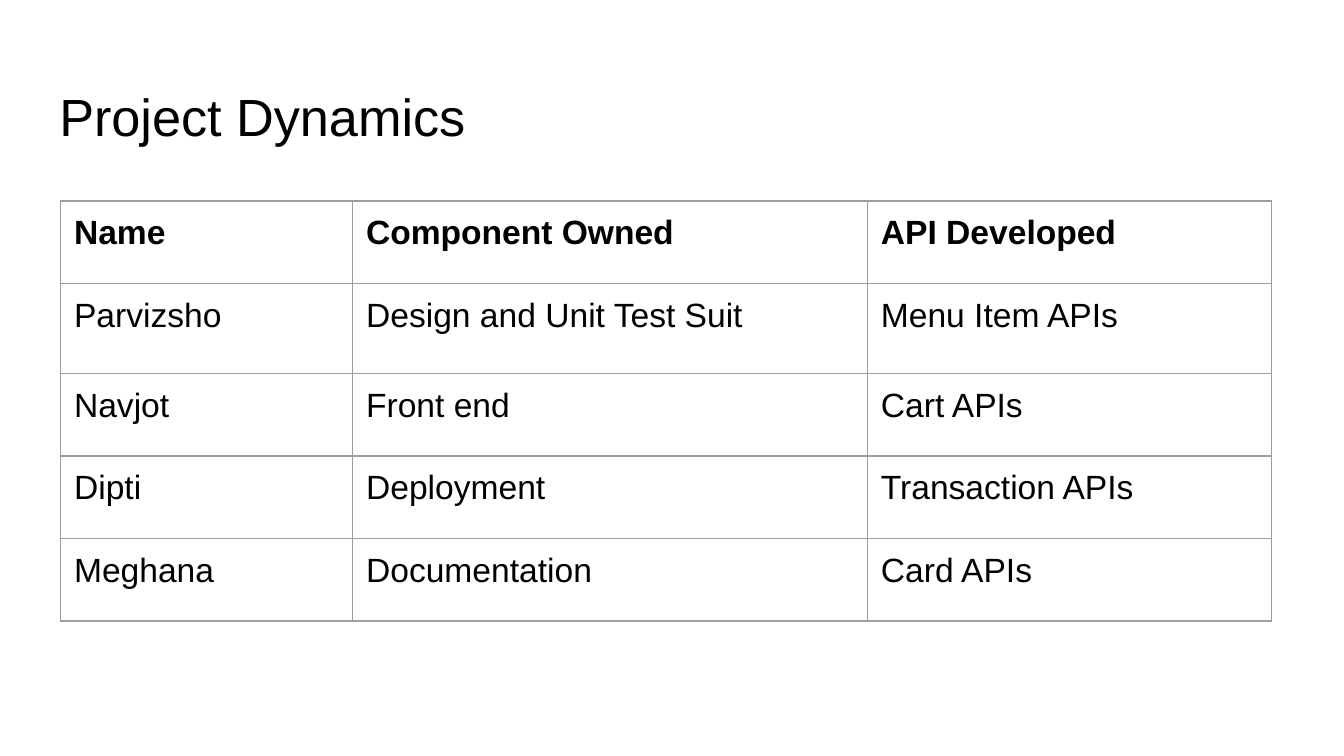
from dataclasses import dataclass

from lxml import etree
from pptx import Presentation
from pptx import util as u
from pptx.dml.color import RGBColor
from pptx.enum import text
from pptx.oxml.ns import qn


@dataclass(frozen=True)
class Theme:
    font: str = "Arial"
    ink: str = "000000"
    paper: str = "FFFFFF"
    rule: str = "9E9E9E"
    title_size: float = 28
    cell_size: float = 18
    rule_width: float = 0.75
    inset: float = 0.25


class Deck:
    def __init__(self, prs, theme):
        self.theme = theme
        self.s = prs.slides.add_slide(prs.slide_layouts[5])
        fill = self.s.background.fill
        fill.solid()
        fill.fore_color.rgb = RGBColor.from_string(theme.paper)

    def add_run(self, p, content, size, bold=False):
        r = p.add_run()
        r.text = content
        r.font.name = self.theme.font
        r.font.size = u.Pt(size)
        r.font.bold = bold
        r.font.color.rgb = RGBColor.from_string(self.theme.ink)

    def set_insets(self, box):
        box.margin_left = box.margin_right = u.Cm(self.theme.inset)
        box.margin_top = box.margin_bottom = u.Cm(self.theme.inset)

    def title(self, content, left, top, width, height):
        sp = self.s.shapes.title
        sp.left, sp.top, sp.width, sp.height = map(u.Cm, (left, top, width, height))
        tf = sp.text_frame
        tf.word_wrap = True
        tf.auto_size = text.MSO_AUTO_SIZE.NONE
        tf.vertical_anchor = text.MSO_ANCHOR.TOP
        self.set_insets(tf)
        tf.margin_top = u.Cm(0.36)  # seats the heading slightly lower
        p = tf.paragraphs[0]
        p.alignment = text.PP_ALIGN.LEFT
        self.add_run(p, content, self.theme.title_size)

    def border(self, cell):
        """Draw a thin rule on all four sides, ahead of the cell's fill."""
        tc_pr = cell._tc.get_or_add_tcPr()
        for i, side in enumerate(("lnL", "lnR", "lnT", "lnB")):
            ln = etree.Element(qn(f"a:{side}"), w=str(u.Pt(self.theme.rule_width)))
            fill = etree.SubElement(ln, qn("a:solidFill"))
            etree.SubElement(fill, qn("a:srgbClr"), val=self.theme.rule)
            tc_pr.insert(i, ln)

    def table(self, rows, left, top, widths, heights):
        size = map(u.Cm, (left, top, sum(widths), sum(heights)))
        tbl = self.s.shapes.add_table(len(rows), len(widths), *size).table
        tbl.horz_banding = False
        for col, width in zip(tbl.columns, widths):
            col.width = u.Cm(width)
        for row, height in zip(tbl.rows, heights):
            row.height = u.Cm(height)
        for i, row in enumerate(rows):
            for j, content in enumerate(row):
                cell = tbl.cell(i, j)
                cell.fill.background()
                self.set_insets(cell)
                self.border(cell)
                p = cell.text_frame.paragraphs[0]
                self.add_run(p, content, self.theme.cell_size, bold=i == 0)


def main():
    prs = Presentation()
    prs.slide_width, prs.slide_height = u.Cm(25.4), u.Cm(14.29)
    deck = Deck(prs, Theme())
    deck.title("Project Dynamics", 0.87, 1.24, 23.67, 1.6)
    rows = [
        ("Name", "Component Owned", "API Developed"),
        ("Parvizsho", "Design and Unit Test Suit", "Menu Item APIs"),
        ("Navjot", "Front end", "Cart APIs"),
        ("Dipti", "Deployment", "Transaction APIs"),
        ("Meghana", "Documentation", "Card APIs"),
    ]
    deck.table(rows, 1.15, 3.8, (5.52, 9.73, 7.63), (1.56, 1.7, 1.56, 1.56, 1.56))
    prs.save("out.pptx")


if __name__ == "__main__":
    main()
